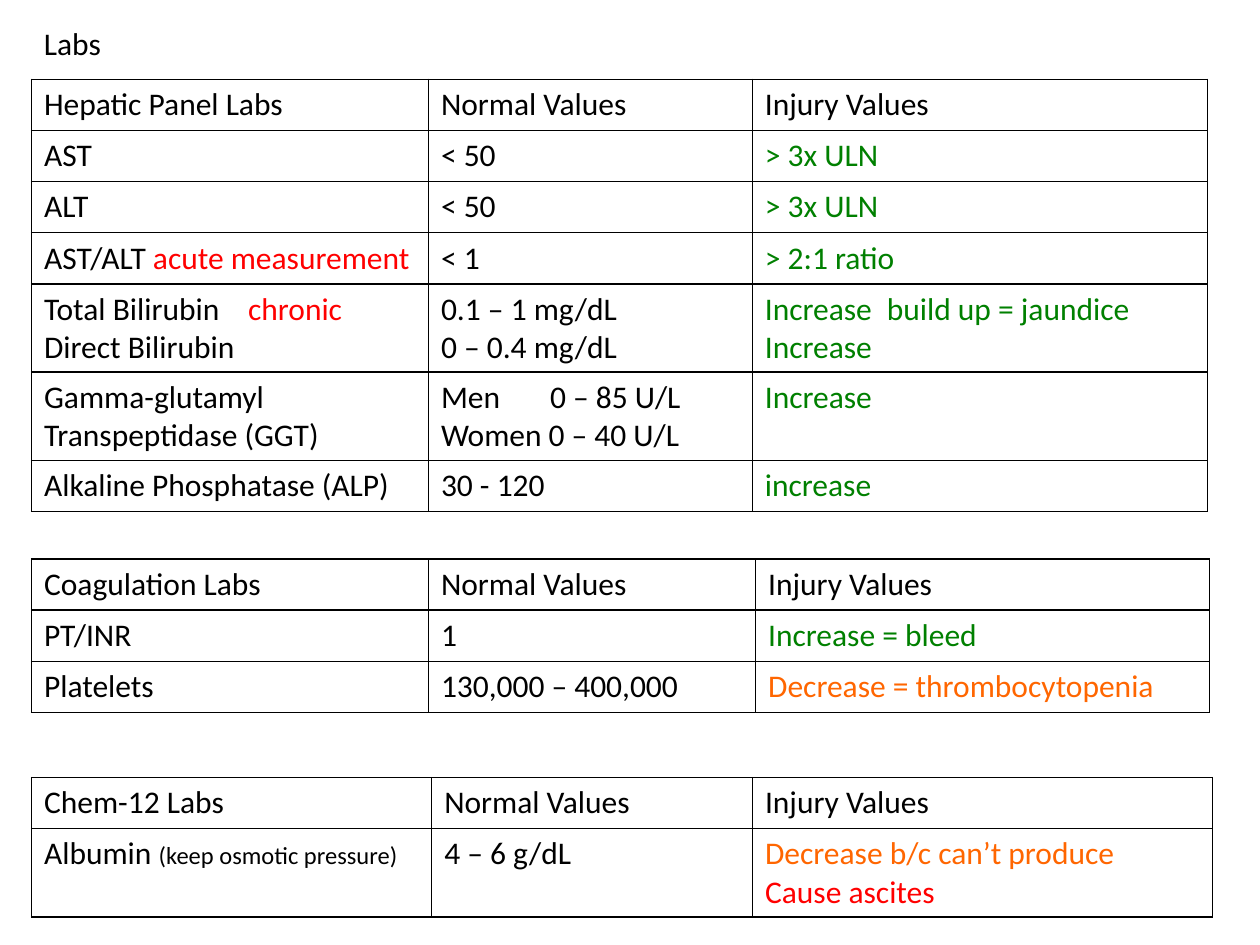
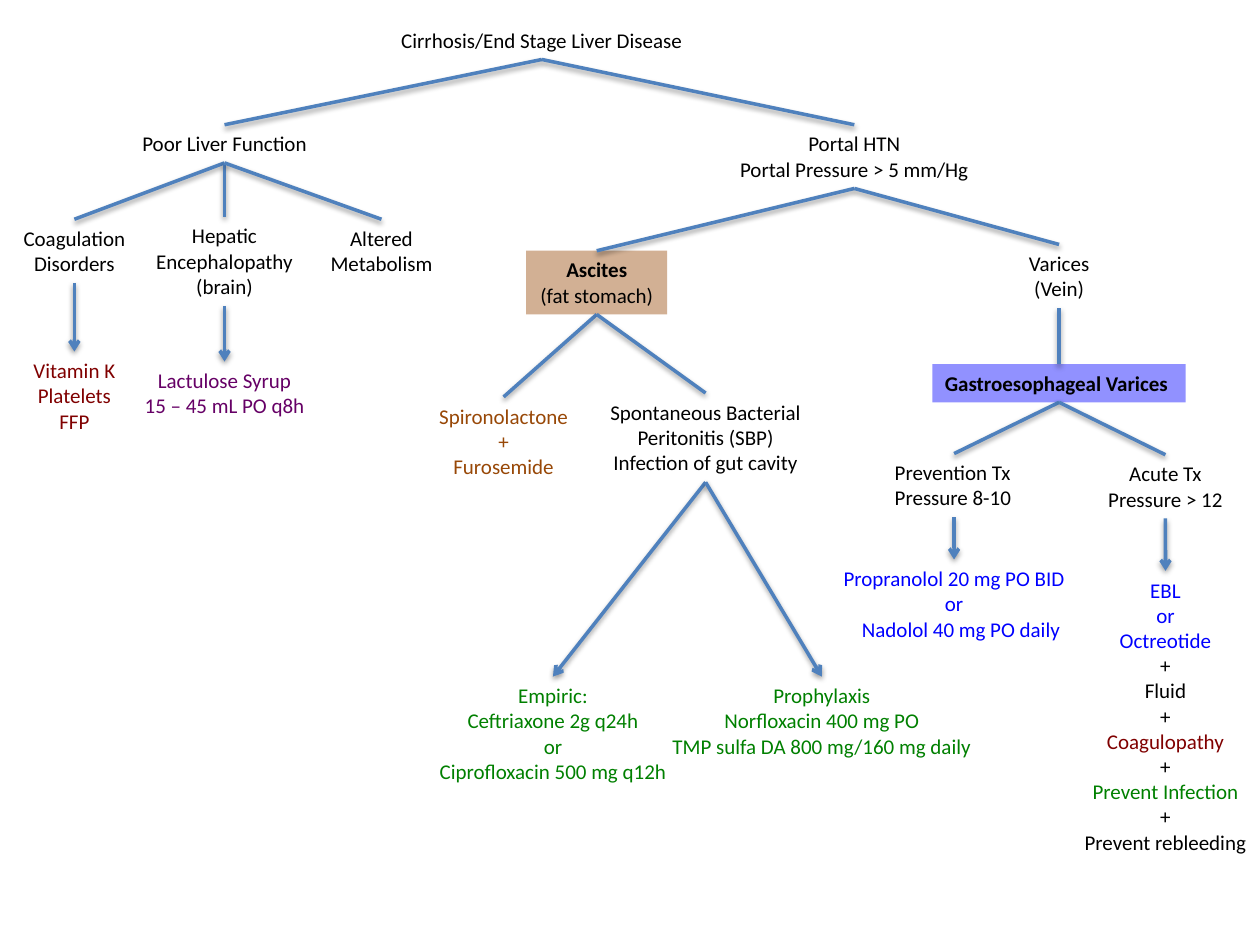
from lxml import etree
from pptx import Presentation
from pptx.dml.color import RGBColor
from pptx.enum import shapes, text
from pptx.oxml import parse_xml
from pptx.oxml.ns import nsdecls, qn
from pptx.util import Pt

BLACK = RGBColor(0x00, 0x00, 0x00)
GREEN = RGBColor(0x00, 0x80, 0x00)
RED = RGBColor(0xFF, 0x00, 0x00)
ORANGE = RGBColor(0xFF, 0x66, 0x00)
MAROON = RGBColor(0x80, 0x00, 0x00)
PURPLE = RGBColor(0x66, 0x00, 0x66)
BROWN = RGBColor(0x98, 0x48, 0x07)
BLUE = RGBColor(0x00, 0x00, 0xFF)
STEEL = RGBColor(0x4F, 0x81, 0xBD)

FONT = "Calibri"
LEFT, MID = text.PP_ALIGN.LEFT, text.PP_ALIGN.CENTER
EDGE = 18        # left edge of the lab tables
ROW = 29.2       # one-line table row
MORE = 21.2      # each further line in a row
LINE = 14.6      # line of the tree
PAD = 7.2        # top and bottom inset of a tree box

# A line is a string or a list of pieces; a piece is a string or (string, format).
# Lab tables: top, column widths, rows; a cell is a string or a list of lines.
HEADS = ["Normal Values", "Injury Values"]
LABS = [
    (45.4, (226.8, 185.1, 260), [
        ["Hepatic Panel Labs", *HEADS],
        ["AST", "< 50", "> 3x ULN"],
        ["ALT", "< 50", "> 3x ULN"],
        [[["AST/ALT ", ("acute measurement", dict(color=RED))]], "< 1", "> 2:1 ratio"],
        [[["Total Bilirubin\t", ("chronic", dict(color=RED))], "Direct Bilirubin"],
         ["0.1 – 1 mg/dL", "0 – 0.4 mg/dL"],
         ["Increase\tbuild up = jaundice", "Increase"]],
        [["Gamma-glutamyl", "Transpeptidase (GGT)"],
         ["Men\t0 – 85 U/L", "Women 0 – 40 U/L"], "Increase"],
        ["Alkaline Phosphatase (ALP)", "30 - 120", "increase"],
    ]),
    (319.5, (226.8, 187, 259.4), [
        ["Coagulation Labs", *HEADS],
        ["PT/INR", "1", "Increase = bleed"],
        ["Platelets", "130,000 – 400,000",
         [[("Decrease = thrombocytopenia", dict(color=ORANGE))]]],
    ]),
    (444.3, (228.7, 183.3, 262.8), [
        ["Chem-12 Labs", *HEADS],
        [[["Albumin ", ("(keep osmotic pressure)", dict(size=14))]], "4 – 6 g/dL",
         [[("Decrease b/c can’t produce", dict(color=ORANGE))],
          [("Cause ascites", dict(color=RED))]]],
    ]),
]
TABS = [116.6, 62.3, 69.7]   # tab stop of each column

# Tree: name, parent, gap below parent, centre, width, lines, options
TREE = [
    ("root", None, 12.2, 309.6, 177, ["Cirrhosis/End Stage Liver Disease"], {}),
    ("liver", "root", 37.3, 128.3, 110, ["Poor Liver Function"], {}),
    ("portal", "root", 37.3, 488.2, 147, ["Portal HTN", "Portal Pressure > 5 mm/Hg"], {}),
    ("coag", "liver", 32.2, 42.5, 73.4, ["Coagulation", "Disorders"], {}),
    ("brain", "liver", 30.7, 128.3, 94, ["Hepatic", "Encephalopathy", "(brain)"], {}),
    ("metab", "liver", 32.2, 218, 73.4, ["Altered", "Metabolism"], {}),
    ("clot", "coag", 39.2, 42.5, 62, ["Vitamin K", "Platelets", "FFP"],
     dict(color=MAROON, arrow=True)),
    ("syrup", "brain", 31.8, 128.3, 106.6, ["Lactulose Syrup", "15 – 45 mL PO q8h"],
     dict(color=PURPLE, arrow=True)),
    ("fluid", "portal", 35.6, 341, 80.6,
     [[("Ascites", dict(bold=True))], "(fat stomach)"], dict(fill=BROWN)),
    ("vein", "portal", 32, 605.2, 51, ["Varices", "(Vein)"], {}),
    ("water", "fluid", 47.1, 287.8, 89.3, ["Spironolactone", "+", "Furosemide"],
     dict(color=BROWN)),
    ("sbp", "fluid", 44.9, 403.2, 125.3,
     ["Spontaneous Bacterial", "Peritonitis (SBP)", "Infection of gut cavity"], {}),
    ("bleed", "vein", 32, 605.2, 144.7, ["Gastroesophageal Varices"],
     dict(fill=BLUE, bold=True, align=LEFT)),
    ("avert", "bleed", 29.3, 545.2, 82, ["Prevention Tx", "Pressure 8-10"],
     dict(align=LEFT)),
    ("acute", "bleed", 30, 666, 81.4, ["Acute Tx", "Pressure > 12"], {}),
    ("beta", "avert", 24.1, 545.2, 151,
     ["Propranolol 20 mg PO BID", "or", "Nadolol 40 mg PO daily"],
     dict(color=BLUE, arrow=True, shift=8)),
    ("band", "acute", 29.9, 666, 108,
     [*[[(word, dict(color=BLUE))] for word in ("EBL", "or", "Octreotide")],
      "+", "Fluid", "+", [("Coagulopathy", dict(color=MAROON))],
      "+", [("Prevent Infection", dict(color=GREEN))], "+", "Prevent rebleeding"],
     dict(arrow=True)),
    ("treat", "sbp", 111, 316, 150,
     ["Empiric:", "Ceftriaxone 2g q24h", "or", "Ciprofloxacin 500 mg q12h"],
     dict(color=GREEN, arrow=True)),
    ("guard", "sbp", 111, 469.6, 193,
     ["Prophylaxis", "Norfloxacin 400 mg PO", "TMP sulfa DA 800 mg/160 mg daily"],
     dict(color=GREEN, arrow=True)),
]


def write(frame, lines, size=12, color=BLACK, bold=False, align=LEFT, tab=None, shift=0):
    """Fill a text frame; shift indents the last line."""
    for i, line in enumerate(lines):
        para = frame.paragraphs[0] if i == 0 else frame.add_paragraph()
        para.alignment = align
        pieces = [line] if isinstance(line, str) else line
        pieces = [(p, {}) if isinstance(p, str) else p for p in pieces]
        props = para._p.get_or_add_pPr()
        if shift and i == len(lines) - 1:
            props.set("marL", str(Pt(shift)))
        if tab and any("\t" in words for words, _ in pieces):
            stops = etree.SubElement(props, qn("a:tabLst"))
            etree.SubElement(stops, qn("a:tab"), pos=str(Pt(tab)), algn="l")
        for words, own in pieces:
            run = para.add_run()
            run.text = words
            font = run.font
            font.name = FONT
            font.size = Pt(own.get("size", size))
            font.bold = own.get("bold", bold)
            font.color.rgb = own.get("color", color)


def box(slide, x, y, w, h, lines, fill=None, **form):
    """Add a text box that fits its lines, with an optional tint."""
    item = slide.shapes.add_textbox(Pt(x), Pt(y), Pt(w), Pt(h))
    frame = item.text_frame
    frame.word_wrap = False
    frame.auto_size = text.MSO_AUTO_SIZE.SHAPE_TO_FIT_TEXT
    if fill is not None:
        item.fill.solid()
        item.fill.fore_color.rgb = fill
        tint = item._element.spPr.find(".//" + qn("a:srgbClr"))
        etree.SubElement(tint, qn("a:alpha"), val="43000")
    write(frame, lines, **form)
    return item


def frame_cell(cell):
    """Draw thin black borders and clear the fill."""
    props = cell._tc.get_or_add_tcPr()
    for side in "LRTB":
        props.append(parse_xml(
            f'<a:ln{side} {nsdecls("a")} w="{Pt(1)}"><a:solidFill>'
            f'<a:srgbClr val="{BLACK}"/></a:solidFill></a:ln{side}>'))
    cell.fill.background()


def grid(slide, top, widths, rows):
    """Add one lab table."""
    rows = [[[c] if isinstance(c, str) else c for c in row] for row in rows]
    highs = [ROW + MORE * (max(map(len, row)) - 1) for row in rows]
    table = slide.shapes.add_table(len(rows), len(widths), Pt(EDGE), Pt(top),
                                   Pt(sum(widths)), Pt(sum(highs))).table
    table.first_row = table.horz_banding = False
    for col, wide in zip(table.columns, widths):
        col.width = Pt(wide)
    for r, row in enumerate(rows):
        table.rows[r].height = Pt(highs[r])
        for c, lines in enumerate(row):
            cell = table.cell(r, c)
            frame_cell(cell)
            color = GREEN if r and c == 2 else BLACK
            write(cell.text_frame, lines, size=18, color=color, tab=TABS[c])


def link(slide, top, low, arrow):
    """Join the bottom of one box to the top of another."""
    line = slide.shapes.add_connector(shapes.MSO_CONNECTOR.STRAIGHT, 0, 0, 0, 0)
    line.begin_connect(top, 2)
    line.end_connect(low, 0)
    line.line.color.rgb = STEEL
    line.line.width = Pt(2)
    if arrow:
        etree.SubElement(line.line._get_or_add_ln(), qn("a:tailEnd"), type="arrow")
    line._element.spPr.append(parse_xml(
        f'<a:effectLst {nsdecls("a")}><a:outerShdw blurRad="{Pt(3.1)}" dist="{Pt(1.6)}" '
        f'dir="5400000" rotWithShape="0"><a:srgbClr val="{BLACK}">'
        '<a:alpha val="38000"/></a:srgbClr></a:outerShdw></a:effectLst>'))


def main():
    deck = Presentation()
    deck.slide_width, deck.slide_height = Pt(720), Pt(540)
    blank = deck.slide_layouts[6]

    # Lab values
    slide = deck.slides.add_slide(blank)
    box(slide, EDGE, 10.1, 47.5, 29, ["Labs"], size=18)
    for lab in LABS:
        grid(slide, *lab)

    # Disease tree
    slide = deck.slides.add_slide(blank)
    nodes, ends = {}, {None: 0}
    for name, parent, gap, mid, wide, lines, form in TREE:
        form = {"align": MID, **form}
        arrow = form.pop("arrow", False)
        top, high = ends[parent] + gap, LINE * len(lines) + PAD
        nodes[name] = box(slide, mid - wide / 2, top, wide, high, lines, **form)
        ends[name] = top + high
        if parent:
            link(slide, nodes[parent], nodes[name], arrow)

    deck.save("out.pptx")


if __name__ == "__main__":
    main()
